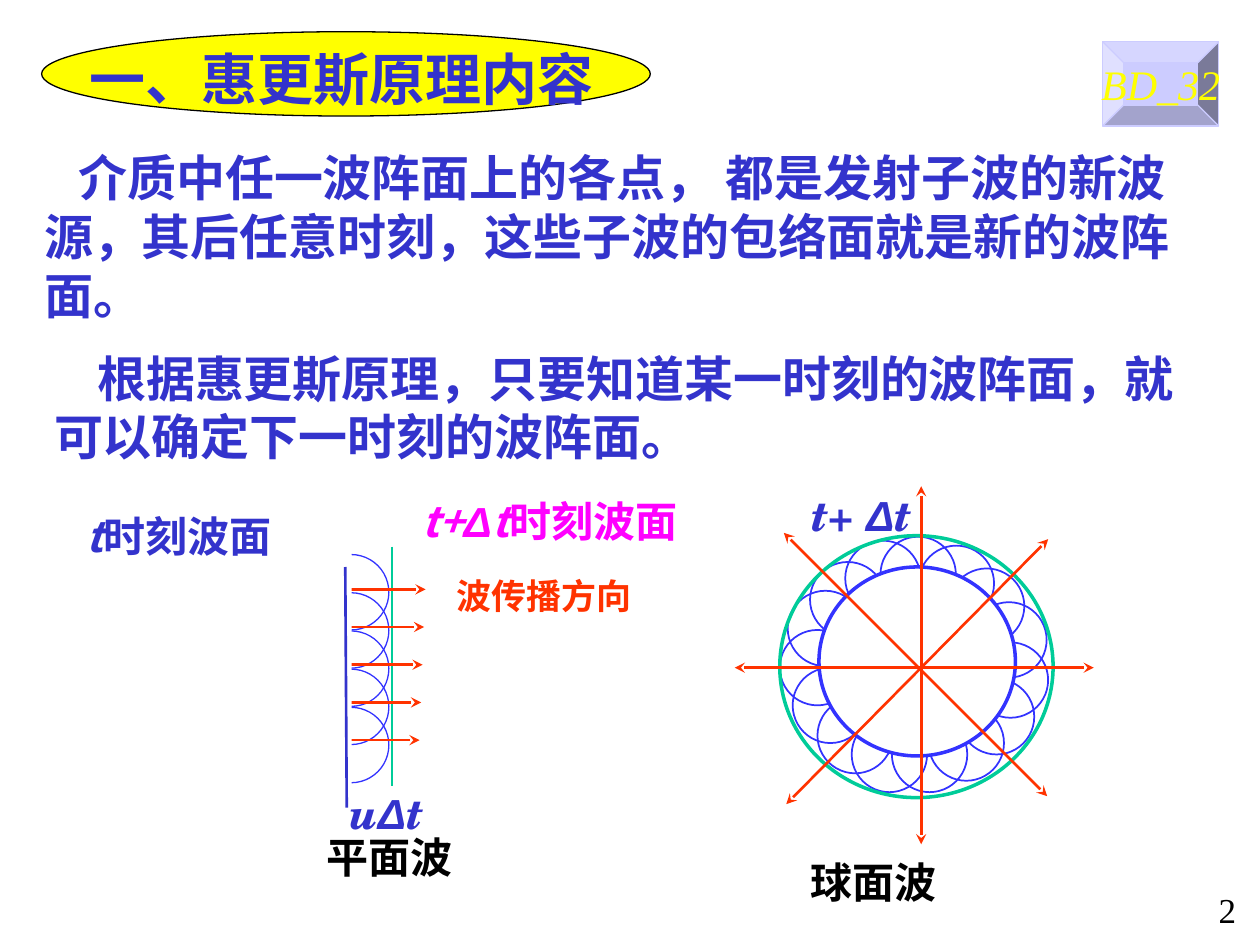
from lxml.etree import SubElement
from pptx import Presentation
from pptx.dml.color import RGBColor
from pptx.enum.shapes import MSO_CONNECTOR as Connector, MSO_SHAPE as Shape
from pptx.enum.text import MSO_ANCHOR as Anchor, PP_ALIGN as Align
from pptx.oxml.ns import qn
from pptx.util import Cm, Pt

THEME = {
    "blue": "3333CC", "wave": "3333FF", "green": "00CC99", "red": "FF3300",
    "pink": "FF00FF", "yellow": "FFFF00", "lilac": "CCCCFF",
    "black": "000000", "white": "FFFFFF",
    "title": 32, "body": 28, "label": 24, "small": 20,
    "sans": "Noto Sans CJK SC", "serif": "Times New Roman",
    "greek": "Arial", "symbol": "TeX Gyre Schola",
}
LINE_HEIGHT = 1.2
ASCENT_SHIFT = 0.11
WIDE_INSETS = (0.25, 0.13)
TIGHT_INSETS = (0.03, 0.03)

TITLE = (1.55, 0.64, 11, 2.97, "title", "blue", 0, [("一、惠更斯原理内容", "sans", False)])
BODY = [
    (0.64, 2.74, 23.5, 3.81, "body", "blue", 0.69,
     [("介质中任一波阵面上的各点， 都是发射子波的新波源，其后任意时刻，这些子波的包络面就是新的波阵面。", "sans", False)]),
    (0.84, 6.78, 23.5, 2.64, "body", "blue", 0.87,
     [("根据惠更斯原理，只要知道某一时刻的波阵面，就可以确定下一时刻的波阵面。", "sans", False)]),
]
LABELS = [
    (6.55, 16.64, 3.99, 0.97, "label", "black", 0, [("平面波", "sans", False)]),
    (8.46, 9.86, 5.51, 0.79, "label", "pink", 0,
     [("t+", "sans", True), ("Δ", "greek", True), ("t", "sans", True), ("时刻波面", "sans", False)]),
    (7.01, 15.75, 2.16, 1.12, "label", "blue", 0,
     [("u", "symbol", True), ("Δ", "greek", True), ("t", "symbol", True)]),
    (9.17, 11.48, 3.99, 0.79, "small", "red", 0, [("波传播方向", "sans", False)]),
    (16.31, 17.15, 3.78, 0.84, "label", "black", 0, [("球面波", "sans", False)]),
    (16.33, 9.75, 2.16, 0.71, "label", "blue", 0,
     [("t+ ", "symbol", True), ("Δ", "greek", True), ("t", "symbol", True)]),
    (1.7, 10.16, 4.37, 1.07, "label", "blue", 0, [("t", "sans", True), ("时刻波面", "sans", False)]),
]

WAVELET = 1.52
PLANE_WAVELETS = [(6.32, 11.18 + 0.77 * step) for step in range(5)]
PLANE_RAYS = [(6.27 - 0.03 * step, 11.88 + 0.76 * step) for step in range(5)]
RAY_LENGTH = 2.31
ROUND_WAVELETS = [
    (19.58, 12.14), (17.75, 10.82), (15.88, 11.91), (16.33, 11.33), (19.13, 11.46),
    (18.52, 11), (17.04, 10.9), (15.72, 12.7), (15.98, 13.46), (19.33, 13.69),
    (17.17, 14.45), (16.48, 14.07), (18.72, 14.22), (19.61, 12.95), (17.98, 14.45),
]
ROUND_RAYS = [
    (14.81, 13.46, 22.05, 13.46), (15.85, 16.21, 21.13, 10.87),
    (15.8, 10.74, 21.11, 16.05), (18.57, 9.8, 18.57, 17.02),
]


def color(name):
    return RGBColor.from_string(THEME[name])


def apply(target, values):
    for name, value in values.items():
        setattr(target, name, value)


def add_shape(page, kind, place, fill=None, line=None, weight=0.75):
    shape = page.shapes.add_shape(kind, *map(Cm, place))
    shape.shadow.inherit = False
    if fill:
        shape.fill.solid()
        shape.fill.fore_color.rgb = color(fill)
    else:
        shape.fill.background()
    if line:
        shape.line.color.rgb = color(line)
        shape.line.width = Pt(weight)
    else:
        shape.line.fill.background()
    return shape


def add_line(page, ends, name, arrows=()):
    line = page.shapes.add_connector(Connector.STRAIGHT, *map(Cm, ends))
    line.line.color.rgb = color(name)
    line.line.width = Pt(1.5)
    outline = line.line._get_or_add_ln()
    for arrow in arrows:
        SubElement(outline, qn(f"a:{arrow}"), type="stealth")
    SubElement(line._element.spPr, qn("a:effectLst"))


def write(para, spans, size, name, bold=True):
    for text, face, italic in spans:
        span = para.add_run()
        span.text = text
        apply(span.font, {"size": Pt(THEME[size]), "name": THEME[face], "bold": bold, "italic": italic})
        span.font.color.rgb = color(name)
        SubElement(span._r.get_or_add_rPr(), qn("a:ea"), typeface=THEME[face])


def set_frame(frame, insets, wrap=True):
    side, end = map(Cm, insets)
    apply(frame, {"margin_left": side, "margin_right": side, "margin_top": end,
                  "margin_bottom": end, "word_wrap": wrap})


def add_text(page, item, insets):
    left, top, width, height, size, name, indent, spans = item
    points = THEME[size]
    shift = ASCENT_SHIFT * Pt(points).cm
    box = page.shapes.add_textbox(*map(Cm, (left, top + shift, width, height)))
    set_frame(box.text_frame, insets)
    para = box.text_frame.paragraphs[0]
    para.line_spacing = Pt(points * LINE_HEIGHT)
    if indent:
        para._p.get_or_add_pPr().set("indent", str(Cm(indent)))
    write(para, spans, size, name)


def draw_plane_wave(page):
    add_line(page, (7.9, 11.02, 7.9, 15.85), "green")
    for left, top in PLANE_WAVELETS:
        add_shape(page, Shape.OVAL, (left, top, WAVELET, WAVELET), line="wave")
    for left, top in PLANE_RAYS:
        add_line(page, (left, top, left + RAY_LENGTH, top), "red", ["tailEnd"])
    add_shape(page, Shape.RECTANGLE, (6.02, 11.02, 1.07, 4.88), fill="white")
    add_line(page, (6.96, 11.43, 6.99, 16.28), "blue")


def draw_round_wave(page):
    for left, top in ROUND_WAVELETS:
        add_shape(page, Shape.OVAL, (left, top, WAVELET, WAVELET), line="wave", weight=1)
    add_shape(page, Shape.OVAL, (16.51, 11.43, 3.96, 3.81), "white", "wave", 2)
    add_shape(page, Shape.OVAL, (15.72, 10.8, 5.51, 5.28), line="green", weight=2)
    for ends in ROUND_RAYS:
        add_line(page, ends, "red", ["headEnd", "tailEnd"])


def draw_button(page):
    button = add_shape(page, Shape.BEVEL, (22.23, 0.84, 2.34, 1.7), "lilac", "lilac")
    button.adjustments[0] = 0.25
    frame = button.text_frame
    set_frame(frame, WIDE_INSETS, wrap=False)
    frame.vertical_anchor = Anchor.MIDDLE
    frame.paragraphs[0].alignment = Align.CENTER
    write(frame.paragraphs[0], [("BD_32", "serif", True)], "label", "yellow", bold=False)


def draw_number(page):
    box = page.shapes.add_textbox(*map(Cm, (19.89, 17.78, 5.28, 1.27)))
    set_frame(box.text_frame, WIDE_INSETS)
    para = box.text_frame.paragraphs[0]
    para.alignment = Align.RIGHT
    write(para, [("2", "serif", False)], "small", "black", bold=False)


def main():
    deck = Presentation()
    apply(deck, {"slide_width": Cm(25.4), "slide_height": Cm(19.05)})
    page = deck.slides.add_slide(deck.slide_layouts[6])
    draw_plane_wave(page)
    draw_round_wave(page)
    add_shape(page, Shape.OVAL, (0.84, 0.64, 12.27, 1.7), "yellow", "black")
    for item in [TITLE, *BODY]:
        add_text(page, item, WIDE_INSETS)
    for item in LABELS:
        add_text(page, item, TIGHT_INSETS)
    draw_button(page)
    draw_number(page)
    deck.save("out.pptx")


if __name__ == "__main__":
    main()
